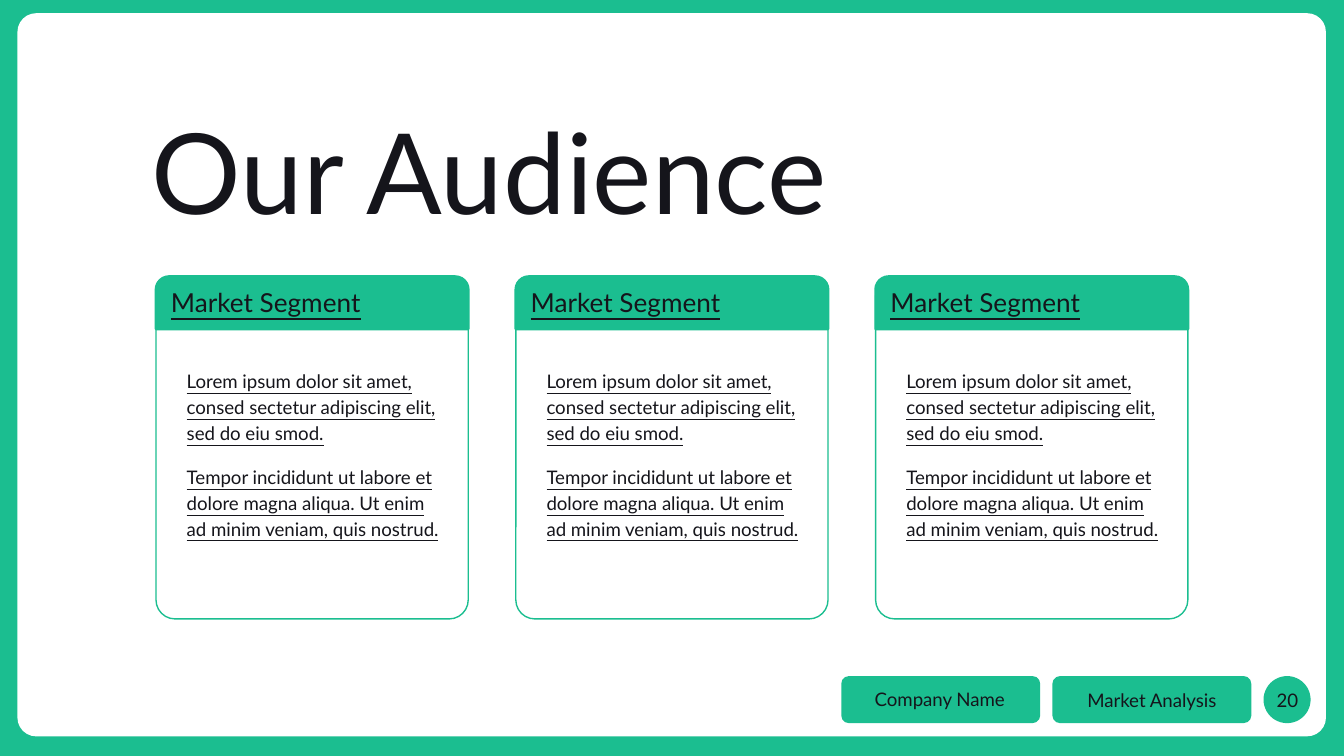
import pptx
import pptx.dml.color
import pptx.enum.shapes
import pptx.enum.text
import pptx.util
from dataclasses import dataclass

Cm = pptx.util.Cm
Pt = pptx.util.Pt
SHAPE = pptx.enum.shapes.MSO_SHAPE
ALIGN = pptx.enum.text.PP_ALIGN
ANCHOR = pptx.enum.text.MSO_ANCHOR


@dataclass(frozen=True)
class Theme:
    green: str = "1BBE90"
    white: str = "FFFFFF"
    ink: str = "15151B"
    font: str = "Lato"
    title_size: float = 60
    heading_size: float = 14
    body_size: float = 10
    inset: float = 0.25


class SlideBuilder:
    def __init__(self, slide, theme):
        self.slide = slide
        self.theme = theme

    def colour(self, value):
        return pptx.dml.color.RGBColor.from_string(value)

    def background(self, fill):
        self.slide.background.fill.solid()
        self.slide.background.fill.fore_color.rgb = self.colour(fill)

    def shape(self, preset, box, fill, adjustments=(), line_width=None):
        shape = self.slide.shapes.add_shape(preset, *map(Cm, box))
        shape.shadow.inherit = False
        for index, value in enumerate(adjustments):
            shape.adjustments[index] = value
        shape.fill.solid()
        shape.fill.fore_color.rgb = self.colour(fill)
        if line_width:
            shape.line.color.rgb = self.colour(self.theme.green)
            shape.line.width = Pt(line_width)
        else:
            shape.line.fill.background()

    def set_text(self, frame, text, size, align=ALIGN.LEFT, anchor=ANCHOR.TOP,
                 underline=False, line_spacing=1.0, gap=0):
        frame.text = text
        frame.word_wrap = True
        frame.auto_size = pptx.enum.text.MSO_AUTO_SIZE.NONE
        frame.vertical_anchor = anchor
        frame.margin_left = frame.margin_right = Cm(self.theme.inset)
        frame.margin_top = frame.margin_bottom = Cm(self.theme.inset)
        for index, paragraph in enumerate(frame.paragraphs):
            paragraph.alignment = align
            paragraph.line_spacing = line_spacing
            paragraph.space_before = Pt(gap if index else 0)
            for run in paragraph.runs:
                run.font.name = self.theme.font
                run.font.size = Pt(size)
                run.font.underline = underline
                run.font.color.rgb = self.colour(self.theme.ink)

    def text(self, box, text, size, **style):
        label = self.slide.shapes.add_textbox(*map(Cm, box))
        self.set_text(label.text_frame, text, size, **style)

    def title(self, box, text):
        title = self.slide.shapes.title
        title.left, title.top, title.width, title.height = map(Cm, box)
        self.set_text(title.text_frame, text, self.theme.title_size, line_spacing=0.9)
        # Bring the title in front of the white panel
        title._element.getparent().append(title._element)

    def card(self, left, heading, body):
        theme = self.theme
        top, width = 5.23, 5.9
        self.shape(SHAPE.ROUNDED_RECTANGLE, (left, top, width, 6.47),
                   theme.white, [0.061], line_width=0.75)
        self.shape(SHAPE.ROUND_2_SAME_RECTANGLE, (left, top, width, 0.99),
                   theme.green, [0.248, 0], line_width=1.5)
        self.text((left + 0.03, 5.16, width, 1.04), heading,
                  theme.heading_size, underline=True)
        self.text((left + 0.33, 6.68, 5.26, 4.67), body, theme.body_size,
                  underline=True, line_spacing=1.15, gap=10)

    def badge(self, preset, box, label_box, label, adjustments=()):
        self.shape(preset, box, self.theme.green, adjustments)
        self.text(label_box, label, self.theme.body_size,
                  align=ALIGN.CENTER, anchor=ANCHOR.MIDDLE)


def main():
    deck = pptx.Presentation()
    deck.slide_width, deck.slide_height = Cm(25.4), Cm(14.29)
    theme = Theme()
    audience = SlideBuilder(deck.slides.add_slide(deck.slide_layouts[5]), theme)

    # Green frame, white panel and title
    audience.background(theme.green)
    audience.shape(SHAPE.ROUNDED_RECTANGLE, (0.33, 0.25, 24.73, 13.67),
                   theme.white, [0.026])
    audience.title((2.62, 1.98, 21.84, 2.31), "Our Audience")

    # Market segment cards
    description = (
        "Lorem ipsum dolor sit amet, consed sectetur adipiscing elit, "
        "sed do eiu smod.\n"
        "Tempor incididunt ut labore et dolore magna aliqua. "
        "Ut enim ad minim veniam, quis nostrud."
    )
    for column in range(3):
        audience.card(2.95 + 6.8 * column, "Market Segment", description)

    # Footer
    footer_top, footer_height = 12.78, 0.89
    audience.badge(SHAPE.ROUNDED_RECTANGLE, (15.9, footer_top, 3.76, footer_height),
                   (15.93, 12.83, 3.66, 0.76), "Company Name", [0.163])
    audience.badge(SHAPE.ROUNDED_RECTANGLE, (19.89, footer_top, 3.76, footer_height),
                   (19.89, 12.68, 3.76, 1.09), "Market Analysis", [0.163])
    audience.badge(SHAPE.OVAL, (23.88, footer_top, footer_height, footer_height),
                   (23.57, 12.68, 1.52, 1.09), "20")

    deck.save("out.pptx")


if __name__ == "__main__":
    main()
